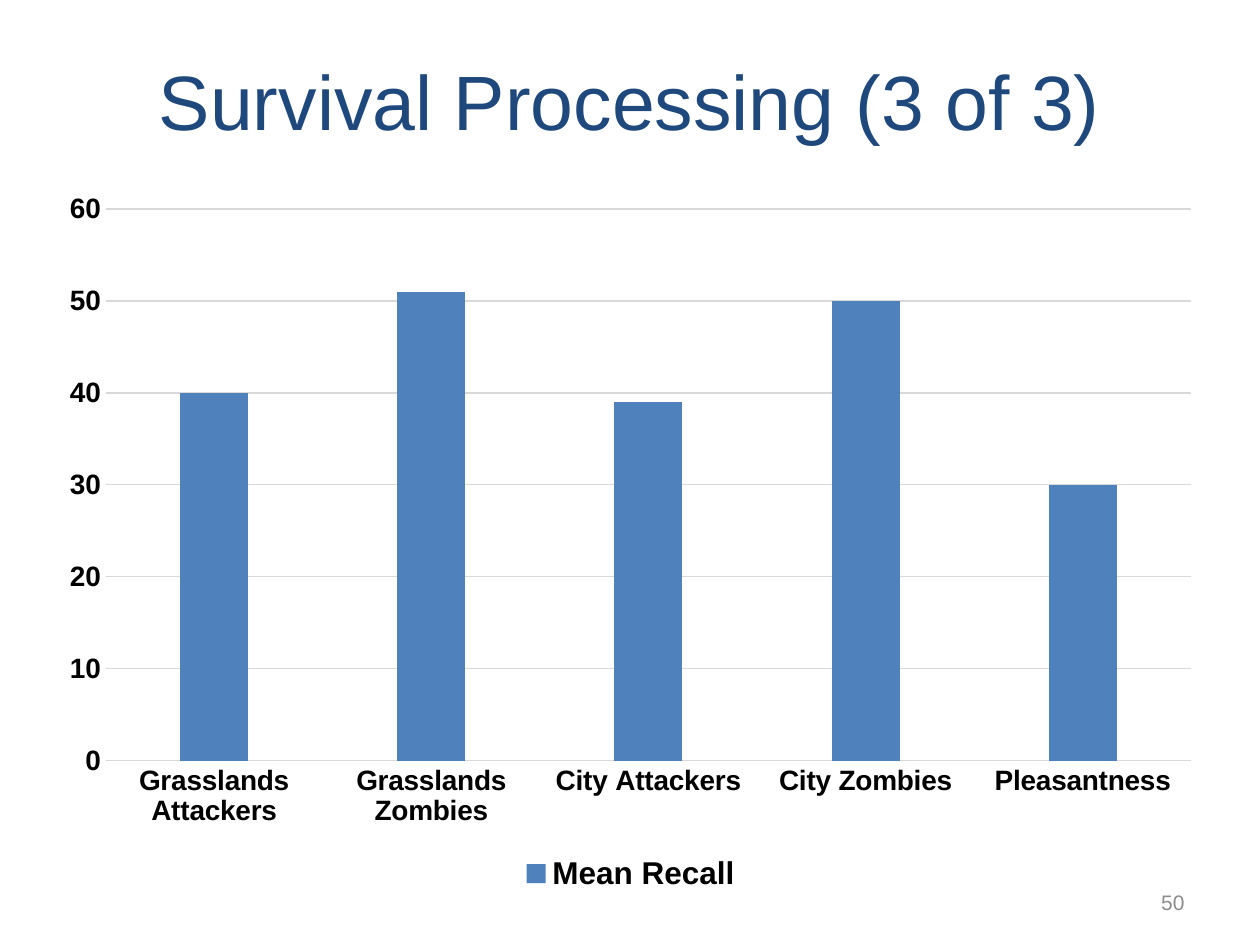
from pptx import Presentation
from pptx.chart.data import CategoryChartData
from pptx.dml.color import RGBColor
from pptx.enum.chart import XL_CHART_TYPE, XL_LEGEND_POSITION, XL_TICK_MARK
from pptx.enum.text import MSO_ANCHOR, PP_ALIGN
from pptx.util import Inches, Pt

COLUMN = XL_CHART_TYPE.COLUMN_CLUSTERED
BOTTOM = XL_LEGEND_POSITION.BOTTOM
NO_TICK = XL_TICK_MARK.NONE
MIDDLE = MSO_ANCHOR.MIDDLE
CENTER, RIGHT = PP_ALIGN.CENTER, PP_ALIGN.RIGHT

WIDTH, HEIGHT = 10, 7.5
FONT = "Arial"
COLORS = {
    "title": "1F497D",
    "number": "8C8C8C",
    "text": "000000",
    "grid": "D9D9D9",
    "bar": "4F81BD",
}
RECALL = {
    "Grasslands Attackers": 40,
    "Grasslands Zombies": 51,
    "City Attackers": 39,
    "City Zombies": 50,
    "Pleasantness": 30,
}


def share_box(left, top, width, height):
    """Turn shares of the slide's size into a box of lengths."""
    return (
        Inches(WIDTH * left),
        Inches(HEIGHT * top),
        Inches(WIDTH * width),
        Inches(HEIGHT * height),
    )


def style_font(font, size, color, bold=False):
    """Set the typeface, size, colour and weight of a font."""
    font.name = FONT
    font.size = Pt(size)
    font.bold = bold
    font.color.rgb = RGBColor.from_string(COLORS[color])


def style_line(line):
    """Give a chart line the thin grid look."""
    line.color.rgb = RGBColor.from_string(COLORS["grid"])
    line.width = Pt(0.75)


def add_text(page, box, text, size, color, align):
    """Place one line of vertically centred text in a box."""
    frame = page.shapes.add_textbox(*box).text_frame
    frame.word_wrap = True
    frame.vertical_anchor = MIDDLE
    para = frame.paragraphs[0]
    para.alignment = align
    span = para.add_run()
    span.text = text
    style_font(span.font, size, color)


def add_recall_chart(page, box):
    """Place the column chart of mean recall in a box."""
    data = CategoryChartData(number_format="General")
    data.categories = list(RECALL)
    data.add_series("Mean Recall", list(RECALL.values()))
    chart = page.shapes.add_chart(COLUMN, *box, data).chart
    chart.has_title = False
    style_font(chart.font, 10, "text")

    plot = chart.plots[0]
    plot.vary_by_categories = False
    plot.gap_width, plot.overlap = 219, -27
    fill = plot.series[0].format.fill
    fill.solid()
    fill.fore_color.rgb = RGBColor.from_string(COLORS["bar"])

    categories, values = chart.category_axis, chart.value_axis
    for axis in (categories, values):
        axis.major_tick_mark = axis.minor_tick_mark = NO_TICK
        style_font(axis.tick_labels.font, 16, "text", bold=True)
    style_line(categories.format.line)
    values.format.line.fill.background()
    values.minimum_scale, values.maximum_scale, values.major_unit = 0, 60, 10
    style_line(values.major_gridlines.format.line)

    chart.has_legend = True
    chart.legend.position = BOTTOM
    chart.legend.include_in_layout = False
    style_font(chart.legend.font, 18, "text", bold=True)


def main():
    """Build the slide and save the deck."""
    deck = Presentation()
    deck.slide_width, deck.slide_height = Inches(WIDTH), Inches(HEIGHT)
    page = deck.slides.add_slide(deck.slide_layouts[6])
    add_text(page, share_box(0.05, 0.02, 0.9, 0.17),
             "Survival Processing (3 of 3)", 44, "title", CENTER)
    add_text(page, share_box(0.9, 0.93, 0.05, 0.05), "50", 12, "number", RIGHT)
    add_recall_chart(page, share_box(0.037, 0.19, 0.927, 0.76))
    deck.save("out.pptx")


if __name__ == "__main__":
    main()
